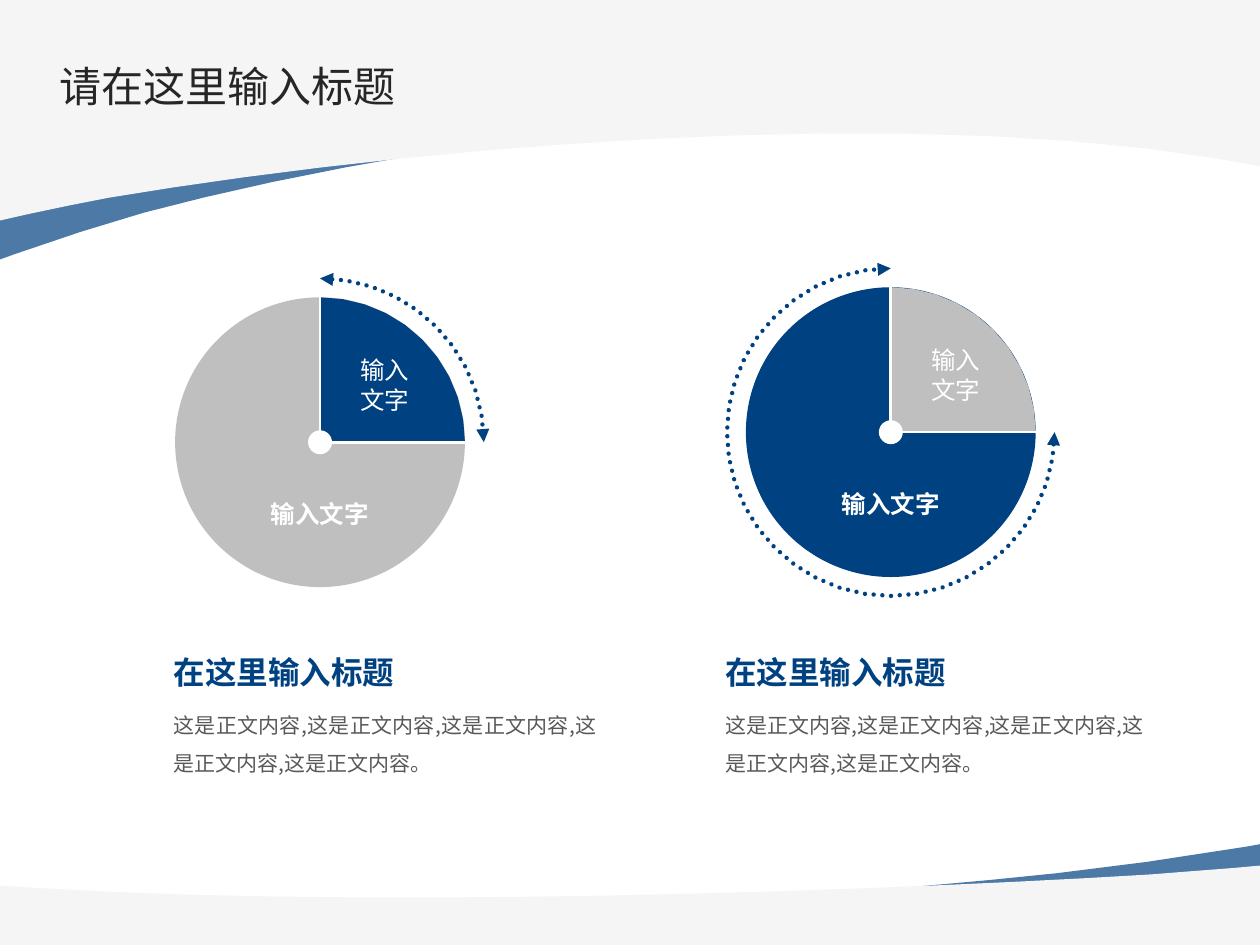
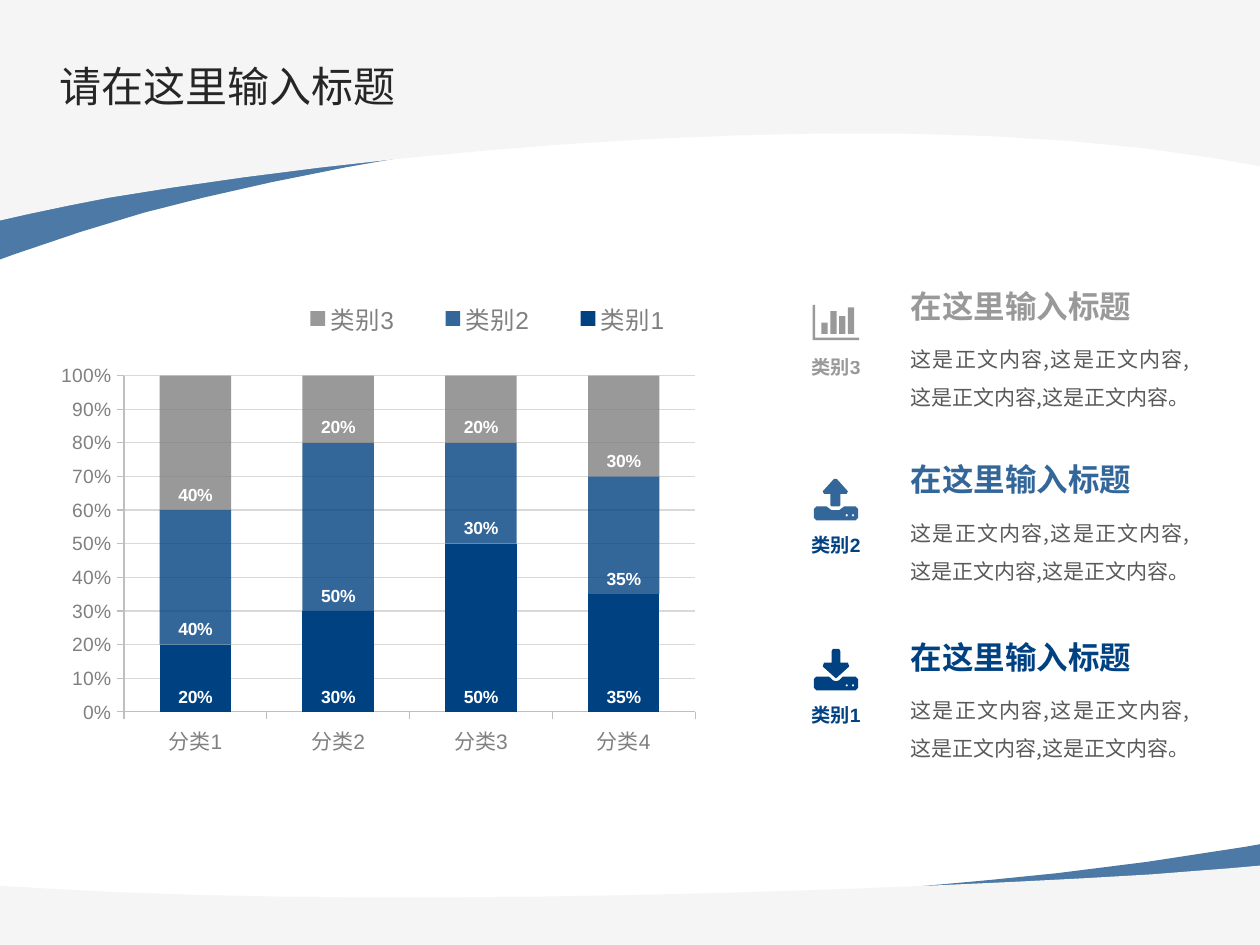
from math import cos, dist, radians, sin

from lxml import etree
from pptx import Presentation
from pptx.chart.data import CategoryChartData
from pptx.dml.color import RGBColor
from pptx.enum.chart import XL_CHART_TYPE, XL_LABEL_POSITION, XL_LEGEND_POSITION, XL_TICK_MARK
from pptx.enum.dml import MSO_LINE
from pptx.enum.shapes import MSO_CONNECTOR, MSO_SHAPE
from pptx.enum.text import MSO_ANCHOR, MSO_AUTO_SIZE, PP_ALIGN
from pptx.oxml.ns import qn
from pptx.util import Inches, Pt

OVAL, STRAIGHT = MSO_SHAPE.OVAL, MSO_CONNECTOR.STRAIGHT
DOTTED = MSO_LINE.ROUND_DOT
TOP, MIDDLE = MSO_ANCHOR.TOP, MSO_ANCHOR.MIDDLE
LEFT, CENTER, JUSTIFY = PP_ALIGN.LEFT, PP_ALIGN.CENTER, PP_ALIGN.JUSTIFY
GROW = MSO_AUTO_SIZE.SHAPE_TO_FIT_TEXT
STACKED_100 = XL_CHART_TYPE.COLUMN_STACKED_100
INSIDE_BASE = XL_LABEL_POSITION.INSIDE_BASE
LEGEND_RIGHT = XL_LEGEND_POSITION.RIGHT
TICK_OUT = XL_TICK_MARK.OUTSIDE

CJK, LATIN = "Noto Sans CJK SC", "Arial"
NAVY, NAVY_BAND, NAVY_SOFT = "004181", "004181B3", "004181CC"
GRAY, GRAY_SOFT, SILVER = "808080", "808080CC", "BFBFBF"
GRID, PALE, WHITE, BLACK = "D9D9D9", "F5F5F5", "FFFFFF", "000000"
TITLE_INK, BODY_INK = "262626", "595959"

BANDS = [
    (NAVY_BAND, [(0, 2.06), (0, 0.66), (10, 0.66), (10, 1.24), (9.99, 1.23),
                 (7.74, 0.53, 3.85, 1.03, 1.61, 1.57), (1.16, 1.67, 0.65, 1.83, 0.11, 2.02)]),
    (PALE, [(0, 1.75), (0, 0), (10, 0), (10, 1.32), (9.67, 1.26),
            (7.06, 0.82, 3.17, 1.18, 0.86, 1.57), (0.66, 1.61, 0.44, 1.65, 0.22, 1.7)]),
    (NAVY_BAND, [(10, 6.7), (10, 7.35), (0, 7.35), (0, 7.08), (0.01, 7.08),
                 (2.26, 7.41, 6.15, 7.17, 8.39, 6.93), (8.84, 6.88, 9.35, 6.81, 9.89, 6.72)]),
    (PALE, [(10, 6.87), (10, 7.5), (0, 7.5), (0, 7.03), (0.33, 7.05),
            (2.94, 7.21, 6.83, 7.08, 9.14, 6.94), (9.34, 6.92, 9.56, 6.91, 9.78, 6.89)]),
]


def paint(fill, color):
    fill.solid()
    fill.fore_color.rgb = RGBColor.from_string(color[:6])
    if len(color) == 8:
        clr = fill._xPr.find(".//" + qn("a:srgbClr"))
        alpha = round(int(color[6:], 16) / 255 * 100) * 1000
        etree.SubElement(clr, qn("a:alpha"), val=str(alpha))


def style_font(font, size, color, bold=False, name=None):
    font.size, font.bold = Pt(size), bold
    paint(font.fill, color)
    if name:
        font.name = name


def style_line(line, color, width):
    paint(line.fill, color)
    line.width = Pt(width)


def flatten(contour):
    points = []
    for item in contour:
        if len(item) == 2:
            points.append(item)
            continue
        x0, y0 = points[-1]
        x1, y1, x2, y2, x3, y3 = item
        steps = max(2, round(1.6 * dist((x0, y0), (x3, y3))))
        for i in range(1, steps + 1):
            t = i / steps
            u = 1 - t
            a, b, c, d = u ** 3, 3 * u * u * t, 3 * u * t * t, t ** 3
            points.append((a * x0 + b * x1 + c * x2 + d * x3, a * y0 + b * y1 + c * y2 + d * y3))
    return points


def arc(cx, cy, radius, start, end, step):
    angles = [radians(angle) for angle in range(start, end + 1, step)]
    return [(cx + radius * cos(a), cy + radius * sin(a)) for a in angles]


def place(parent, index, x, y, w, h, inner=False):
    old = parent.find(qn("c:layout"))
    if old is not None:
        parent.remove(old)
    layout = etree.Element(qn("c:layout"))
    manual = etree.SubElement(layout, qn("c:manualLayout"))
    target = [("layoutTarget", "inner")] if inner else []
    for tag, val in target + [("xMode", "edge"), ("yMode", "edge"),
                              ("x", x), ("y", y), ("w", w), ("h", h)]:
        etree.SubElement(manual, qn("c:" + tag), val=str(val))
    parent.insert(index, layout)


class Deck:
    def __init__(self):
        self.prs = Presentation()
        self.prs.slide_width, self.prs.slide_height = Inches(10), Inches(7.5)
        self.s = None

    def slide(self, title):
        self.s = self.prs.slides.add_slide(self.prs.slide_layouts[6])
        for color, band in BANDS:
            self.outline([band], color)
        self.text(title, 0.39, 0.39, 9, 0.58, size=24, color=TITLE_INK, anchor=MIDDLE,
                  wrap=False, grow=False, insets=(0.08, 0.08, 0, 0.08))

    def text(self, text, x, y, w, h, size=12, color=BODY_INK, bold=False, name=CJK, align=LEFT,
             anchor=TOP, spacing=None, wrap=True, grow=True, insets=(0.1, 0.05, 0.1, 0.05)):
        tf = self.s.shapes.add_textbox(Inches(x), Inches(y), Inches(w), Inches(h)).text_frame
        tf.word_wrap, tf.vertical_anchor = wrap, anchor
        if grow:
            tf.auto_size = GROW
        tf.margin_left, tf.margin_top, tf.margin_right, tf.margin_bottom = map(Inches, insets)
        for i, part in enumerate(text.split("\n")):
            p = tf.add_paragraph() if i else tf.paragraphs[0]
            p.alignment = align
            p._p.get_or_add_pPr().set("hangingPunct", "0")
            if spacing:
                p.line_spacing = spacing
            r = p.add_run()
            r.text = part
            style_font(r.font, size, color, bold, name)
            if name == CJK:
                etree.SubElement(r.font._element, qn("a:ea"), typeface=name)

    def article(self, x, y, w, body, color=NAVY):
        self.text(body, x, y + 0.29, w, 0.7, align=JUSTIFY, spacing=1.5)
        self.text("在这里输入标题", x, y, 1.97, 0.32, size=18, color=color, bold=True,
                  anchor=MIDDLE, spacing=Pt(15), wrap=False)

    def freeform(self, contours, x=0, y=0, close=True):
        builder = None
        for contour in contours:
            points = [(Inches(x + px), Inches(y + py)) for px, py in flatten(contour)]
            if builder is None:
                builder = self.s.shapes.build_freeform(*points[0], scale=1.0)
            else:
                builder.move_to(*points[0])
            builder.add_line_segments(points[1:], close=close)
        sp = builder.convert_to_shape()
        sp.shadow.inherit = False
        return sp

    def outline(self, contours, color, x=0, y=0):
        sp = self.freeform(contours, x, y)
        paint(sp.fill, color)
        sp.line.fill.background()

    def disc(self, cx, cy, diameter, color):
        sp = self.s.shapes.add_shape(OVAL, Inches(cx - diameter / 2), Inches(cy - diameter / 2),
                                     Inches(diameter), Inches(diameter))
        sp.shadow.inherit = False
        paint(sp.fill, color)
        sp.line.fill.background()

    def arrow_arc(self, points):
        sp = self.freeform([points], close=False)
        sp.fill.background()
        style_line(sp.line, NAVY, 2.5)
        sp.line.dash_style = DOTTED
        ln = sp.line._get_or_add_ln()
        ln.set("cap", "rnd")
        for end in ("headEnd", "tailEnd"):
            etree.SubElement(ln, qn("a:" + end), type="triangle")

    def line(self, x1, y1, x2, y2, color, width):
        cxn = self.s.shapes.add_connector(STRAIGHT, *map(Inches, (x1, y1, x2, y2)))
        style_line(cxn.line, color, width)
        etree.SubElement(cxn._element.spPr, qn("a:effectLst"))

    def dial(self, cx, cy, base, wedge, start, end):
        self.disc(cx, cy, 2.3, base)
        self.outline([arc(cx, cy, 1.15, 270, 360, 9) + [(cx, cy)]], wedge)
        self.line(cx, cy, cx, cy - 1.49, WHITE, 1.5)
        self.line(cx, cy, cx + 1.52, cy, WHITE, 1.5)
        self.arrow_arc(arc(cx, cy, 1.3, start, end, 9))
        self.disc(cx, cy, 0.19, WHITE)
        self.text("输入\n文字", cx + 0.22, cy - 0.74, 0.59, 0.57, size=14, color=WHITE,
                  align=CENTER, wrap=False)
        self.text("输入文字", cx - 0.69, cy + 0.4, 1.38, 0.34, size=14, color=WHITE,
                  bold=True, align=CENTER)

    def chart(self, categories, series, x, y, w, h):
        data = CategoryChartData(number_format="0%")
        data.categories = categories
        for name, values, _ in series:
            data.add_series(name, values)
        chart = self.s.shapes.add_chart(STACKED_100, Inches(x), Inches(y), Inches(w),
                                        Inches(h), data).chart
        style_font(chart.font, 18, BLACK, name=LATIN)
        chart.has_title = False
        plot = chart.plots[0]
        plot.gap_width, plot.overlap, plot.vary_by_categories = 100, 100, False
        for ser, (_, _, color) in zip(plot.series, series):
            paint(ser.format.fill, color)
            ser.invert_if_negative = False
            labels = ser.data_labels
            labels.show_value, labels.position = True, INSIDE_BASE
            labels.number_format, labels.number_format_is_linked = "0%", False
            style_font(labels.font, 10, WHITE, bold=True)
        for axis, size in ((chart.category_axis, 12), (chart.value_axis, 11)):
            axis.major_tick_mark = TICK_OUT
            style_font(axis.tick_labels.font, size, GRAY)
            style_line(axis.format.line, SILVER, 0.75)
        axis = chart.value_axis
        axis.minimum_scale, axis.maximum_scale, axis.major_unit = 0, 1, 0.1
        axis.tick_labels.number_format = "0%"
        axis.tick_labels.number_format_is_linked = False
        style_line(axis.major_gridlines.format.line, GRID, 0.75)
        chart.has_legend = True
        legend = chart.legend
        legend.position, legend.include_in_layout = LEGEND_RIGHT, False
        style_font(legend.font, 14, GRAY)
        place(legend._element, 1, 0.33, 0.16, 0.63, 0.09)
        plot_area = chart._chartSpace.find(".//" + qn("c:plotArea"))
        place(plot_area, 0, 0.125, 0.306, 0.817, 0.596, inner=True)


def box(x, y, right, bottom):
    return [(x, y), (right, y), (right, bottom), (x, bottom)]


def tray(notch):
    body = [(0.35, 0.31), (0.33, 0.33), (0.02, 0.33), (0, 0.31), (0, 0.24), (0.02, 0.22)]
    dots = [arc(x, 0.29, 0.01, 0, 300, 60) for x in (0.26, 0.31)]
    return [body + notch + [(0.33, 0.22), (0.35, 0.24)]] + dots


def bars_icon():
    axes = [(0, 0), (0.02, 0), (0.02, 0.26), (0.37, 0.26), (0.37, 0.28), (0, 0.28)]
    tops = (0.14, 0.05, 0.09, 0.02)
    return [axes] + [box(0.07 + 0.07 * i, top, 0.12 + 0.07 * i, 0.23) for i, top in enumerate(tops)]


def upload_icon():
    arrow = [(0.26, 0.12), (0.21, 0.12), (0.21, 0.21), (0.2, 0.22), (0.14, 0.22), (0.13, 0.21),
             (0.13, 0.12), (0.08, 0.12), (0.07, 0.1), (0.16, 0), (0.18, 0), (0.27, 0.1)]
    return tray([(0.1, 0.22), (0.14, 0.25), (0.2, 0.25), (0.24, 0.22)]) + [arrow]


def download_icon():
    arrow = [(0.28, 0.14), (0.18, 0.23), (0.17, 0.23), (0.07, 0.14), (0.08, 0.11), (0.14, 0.11),
             (0.14, 0.02), (0.15, 0), (0.2, 0), (0.21, 0.02), (0.21, 0.11), (0.27, 0.11)]
    notch = [(0.12, 0.22), (0.15, 0.25), (0.16, 0.26, 0.19, 0.26, 0.2, 0.25), (0.23, 0.22)]
    return tray(notch) + [arrow]


def sentences(count):
    return ",".join(["这是正文内容"] * count) + "。"


def build_dials(deck):
    deck.slide("请在这里输入标题")
    for x, width in ((1.28, 3.55), (5.66, 3.51)):
        deck.article(x, 5.22, width, sentences(5))
    deck.dial(2.54, 3.51, SILVER, NAVY, 270, 360)
    deck.dial(7.07, 3.43, NAVY, SILVER, 0, 270)


def build_columns(deck):
    deck.slide("请在这里输入标题")
    series = [
        ("类别1", (0.2, 0.3, 0.5, 0.35), NAVY),
        ("类别2", (0.4, 0.5, 0.3, 0.35), NAVY_SOFT),
        ("类别3", (0.4, 0.2, 0.2, 0.3), GRAY_SOFT),
    ]
    deck.chart([f"分类{i}" for i in range(1, 5)], series, 0.29, 1.61, 5.55, 4.48)
    rows = [
        ("类别3", GRAY_SOFT, GRAY_SOFT, bars_icon(), 2.31, 6.45, 2.42, 2.82),
        ("类别2", NAVY_SOFT, NAVY, upload_icon(), 3.69, 6.46, 3.8, 4.23),
        ("类别1", NAVY, NAVY, download_icon(), 5.1, 6.46, 5.15, 5.58),
    ]
    for name, color, label_color, icon, heading_y, icon_x, icon_y, label_y in rows:
        deck.article(7.13, heading_y, 2.41, sentences(4), color)
        deck.outline(icon, color, icon_x, icon_y)
        deck.text(name, 6.31, label_y, 0.65, 0.19, size=11, color=label_color, bold=True,
                  name=LATIN, align=CENTER, wrap=False, insets=(0, 0, 0, 0))


def main():
    deck = Deck()
    build_dials(deck)
    build_columns(deck)
    deck.prs.save("out.pptx")


if __name__ == "__main__":
    main()
